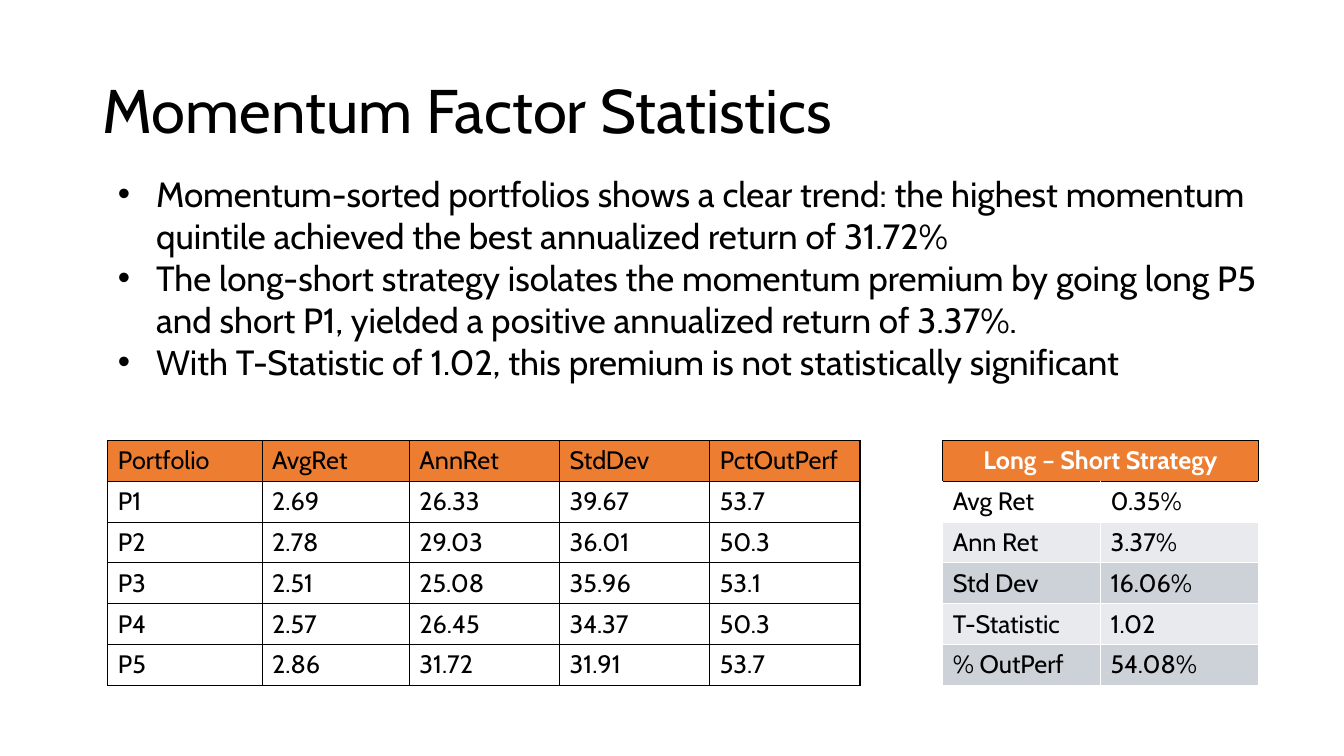
from lxml.etree import SubElement
from pptx import Presentation
from pptx.dml.color import RGBColor
from pptx.enum.text import MSO_ANCHOR, PP_ALIGN
from pptx.oxml.ns import qn
from pptx.util import Inches, Pt

COLORS = {
    "black": "000000",
    "white": "FFFFFF",
    "orange": "ED7D31",
    "light": "E8EAED",
    "gray": "CCD2D8",
}
FONT = "Cabin"
FINDINGS = [
    "Momentum-sorted portfolios shows a clear trend: the highest momentum "
    "quintile achieved the best annualized return of 31.72%",
    "The long-short strategy isolates the momentum premium by going long P5 "
    "and short P1, yielded a positive annualized return of 3.37%.",
    "With T-Statistic of 1.02, this premium is not statistically significant",
]
PORTFOLIOS = [
    ["Portfolio", "AvgRet", "AnnRet", "StdDev", "PctOutPerf"],
    ["P1", "2.69", "26.33", "39.67", "53.7"],
    ["P2", "2.78", "29.03", "36.01", "50.3"],
    ["P3", "2.51", "25.08", "35.96", "53.1"],
    ["P4", "2.57", "26.45", "34.37", "50.3"],
    ["P5", "2.86", "31.72", "31.91", "53.7"],
]
STRATEGY = [
    ["Long – Short Strategy", ""],
    ["Avg Ret", "0.35%"],
    ["Ann Ret", "3.37%"],
    ["Std Dev", "16.06%"],
    ["T-Statistic", "1.02"],
    ["% OutPerf", "54.08%"],
]


def add_run(paragraph, text, size, color="black", bold=False):
    """Append one styled run to a paragraph."""
    run = paragraph.add_run()
    run.text = text
    run.font.name = FONT
    run.font.size = Pt(size)
    run.font.bold = bold
    run.font.color.rgb = RGBColor.from_string(COLORS[color])


def add_frame(slide, box):
    """Add a wrapping text box and return its text frame."""
    frame = slide.shapes.add_textbox(*map(Inches, box)).text_frame
    frame.word_wrap = True
    return frame


def add_title(slide, box, text):
    """Place the slide title, centred vertically in its box."""
    frame = add_frame(slide, box)
    frame.vertical_anchor = MSO_ANCHOR.MIDDLE
    heading = frame.paragraphs[0]
    heading.line_spacing = 0.9
    add_run(heading, text, 44)


def add_findings(slide, box, findings):
    """Place the bulleted findings."""
    frame = add_frame(slide, box)
    for index, finding in enumerate(findings):
        paragraph = frame.add_paragraph() if index else frame.paragraphs[0]
        properties = paragraph._p.get_or_add_pPr()
        properties.set("marL", str(Inches(0.38)))
        properties.set("indent", str(Inches(-0.38)))
        SubElement(properties, qn("a:buFont"), typeface="Arial")
        SubElement(properties, qn("a:buChar"), char="•")
        add_run(paragraph, finding, 25)


def style_cell(cell, fill, borders):
    """Give a cell its left, right, top and bottom borders and its fill."""
    properties = cell._tc.get_or_add_tcPr()
    for side, color in zip("LRTB", borders):
        line = SubElement(properties, qn(f"a:ln{side}"), w=str(Pt(1)))
        solid = SubElement(line, qn("a:solidFill"))
        SubElement(solid, qn("a:srgbClr"), val=COLORS[color])
    if fill:
        cell.fill.solid()
        cell.fill.fore_color.rgb = RGBColor.from_string(COLORS[fill])
    else:
        cell.fill.background()


def add_grid(slide, box, rows, widths):
    """Add an unstyled table with the given column widths and equal rows."""
    grid = slide.shapes.add_table(len(rows), len(widths), *map(Inches, box)).table
    grid.first_row = grid.horz_banding = False
    for column, width in zip(grid.columns, widths):
        column.width = Inches(width)
    return grid


def add_portfolios(slide, box, rows):
    """Place the portfolio table with black rules and an orange header."""
    grid = add_grid(slide, box, rows, [1.53, 1.46] + [1.49] * 3)
    for r, row in enumerate(rows):
        for c, value in enumerate(row):
            cell = grid.cell(r, c)
            style_cell(cell, None if r else "orange", ["black"] * 4)
            add_run(cell.text_frame.paragraphs[0], value, 18)


def add_strategy(slide, box, rows):
    """Place the banded strategy table under its merged header."""
    grid = add_grid(slide, box, rows, [box[2] / 2] * 2)
    fills = ["orange", "white"] + ["light", "gray"] * 2
    for r, row in enumerate(rows):
        top = "black" if r < 2 else "white"
        side = "white" if r else "black"
        for c, value in enumerate(row):
            cell = grid.cell(r, c)
            style_cell(cell, fills[r], [side, side, top, side])
            if value:
                paragraph = cell.text_frame.paragraphs[0]
                add_run(paragraph, value, 18, "black" if r else "white", r == 0)
    header = grid.cell(0, 0)
    header.merge(grid.cell(0, 1))
    header.text_frame.paragraphs[0].alignment = PP_ALIGN.CENTER


def main():
    """Build and save the slide."""
    deck = Presentation()
    deck.slide_width, deck.slide_height = Inches(13.33), Inches(7.5)
    slide = deck.slides.add_slide(deck.slide_layouts[6])
    add_title(slide, (0.92, 0.4, 11.5, 1.45), "Momentum Factor Statistics")
    add_portfolios(slide, (1.07, 4.37, 7.46, 2.43), PORTFOLIOS)
    add_strategy(slide, (9.35, 4.37, 3.13, 2.43), STRATEGY)
    add_findings(slide, (1.07, 1.66, 11.67, 2.2), FINDINGS)
    deck.save("out.pptx")


if __name__ == "__main__":
    main()
